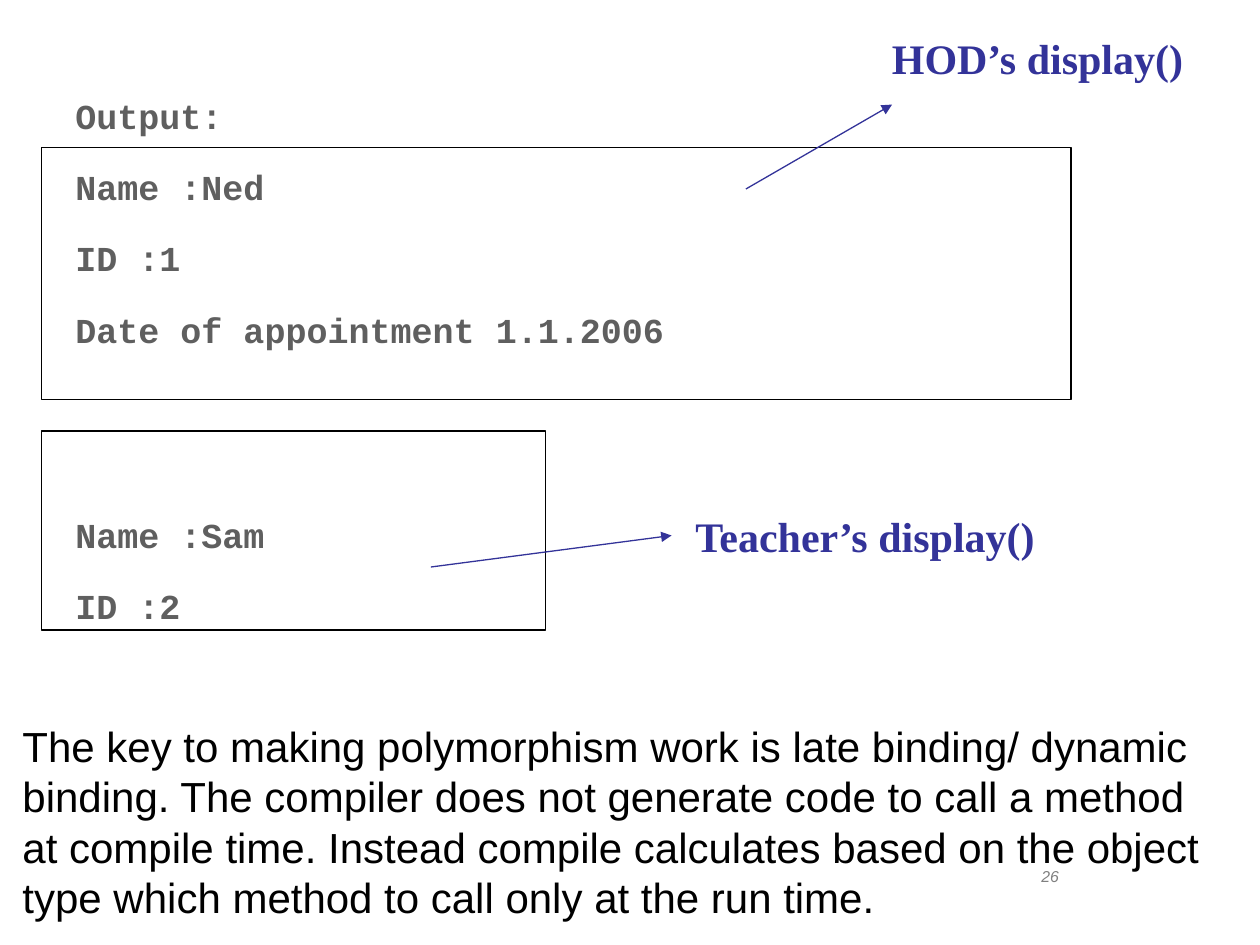
"""Build a slide on polymorphism output and late binding."""
from dataclasses import dataclass

from lxml import etree
from pptx import Presentation
from pptx import util as u
from pptx.dml.color import RGBColor
from pptx.enum import shapes, text
from pptx.oxml import ns


@dataclass(frozen=True)
class Theme:
    """Colours, line width and text formats of the slide."""
    black: RGBColor = RGBColor(0x00, 0x00, 0x00)
    blue: RGBColor = RGBColor(0x33, 0x33, 0x99)
    gray: RGBColor = RGBColor(0x5F, 0x5F, 0x5F)
    light_gray: RGBColor = RGBColor(0x80, 0x80, 0x80)
    line_width: u.Pt = u.Pt(0.75)

    def formats(self):
        """Return the font formats by role."""
        return {
            "code": dict(name="Courier New", size=u.Pt(20), bold=True, color=self.gray),
            "label": dict(name="Times New Roman", size=u.Pt(24), bold=True, color=self.blue),
            "body": dict(name="Arial", size=u.Pt(24), color=self.black),
            "number": dict(name="Arial", size=u.Pt(9), italic=True, color=self.light_gray),
        }


THEME = Theme()
LINE_GAP = 7
GROUP_GAP = 84
OUTPUT = [
    ("Output:", 0),
    ("Name :Ned", LINE_GAP),
    ("ID :1", LINE_GAP),
    ("Date of appointment 1.1.2006", LINE_GAP),
    ("Name :Sam", GROUP_GAP),
    ("ID :2", LINE_GAP),
]
SUMMARY = (
    "The key to making polymorphism work is late binding/ dynamic binding. "
    "The compiler does not generate code to call a method at compile time. "
    "Instead compile calculates based on the object type which method to call "
    "only at the run time."
)


def inches(values):
    """Convert numbers to inch lengths."""
    return [u.Inches(value) for value in values]


def style_font(font, role):
    """Apply the theme format of a role to a font."""
    for key, value in THEME.formats()[role].items():
        if key == "color":
            font.color.rgb = value
        else:
            setattr(font, key, value)


def add_text(slide, box, content, role, wrap=True, align=text.PP_ALIGN.LEFT):
    """Add a text box with one paragraph."""
    frame = slide.shapes.add_textbox(*inches(box)).text_frame
    frame.word_wrap = wrap
    paragraph = frame.paragraphs[0]
    paragraph.text = content
    paragraph.alignment = align
    style_font(paragraph.font, role)


def add_output(slide, box):
    """Add the program output as spaced lines."""
    frame = slide.shapes.add_textbox(*inches(box)).text_frame
    frame.word_wrap = True
    frame.margin_top = u.Inches(0.12)
    for index, (content, gap) in enumerate(OUTPUT):
        paragraph = frame.add_paragraph() if index else frame.paragraphs[0]
        paragraph.text = content
        paragraph.line_spacing = 1.4
        paragraph.space_before = u.Pt(gap)
        style_font(paragraph.font, "code")


def add_arrow(slide, start, end):
    """Add a blue arrow between two points."""
    arrow = slide.shapes.add_connector(
        shapes.MSO_CONNECTOR.STRAIGHT, *inches(start + end))
    arrow.line.color.rgb = THEME.blue
    arrow.line.width = THEME.line_width
    etree.SubElement(arrow.line._get_or_add_ln(), ns.qn("a:tailEnd"), type="triangle")
    etree.SubElement(arrow._element.spPr, ns.qn("a:effectLst"))


def add_callout(slide, frame_box, start, end, label_box, label):
    """Outline one output group and point from it to its label."""
    outline = slide.shapes.add_shape(shapes.MSO_SHAPE.RECTANGLE, *inches(frame_box))
    outline.shadow.inherit = False
    outline.fill.background()
    outline.line.color.rgb = THEME.black
    outline.line.width = THEME.line_width
    add_arrow(slide, start, end)
    add_text(slide, label_box, label, "label", wrap=False)


def main():
    """Build and save the presentation."""
    presentation = Presentation()
    presentation.slide_width = u.Inches(10)
    presentation.slide_height = u.Inches(7.5)
    slide = presentation.slides.add_slide(presentation.slide_layouts[6])
    add_text(slide, (7.17, 6.83, 2.33, 0.52), "26", "number",
             align=text.PP_ALIGN.CENTER)
    add_output(slide, (0.5, 0.5, 8.67, 4.75))
    add_callout(slide, (0.33, 1.17, 8.17, 2), (5.92, 1.5), (7.08, 0.83),
                (6.98, 0.21, 2.61, 0.5), "HOD’s display()")
    add_callout(slide, (0.33, 3.42, 4, 1.58), (3.42, 4.5), (5.33, 4.25),
                (5.42, 4, 3.01, 0.5), "Teacher’s display()")
    add_text(slide, (0.08, 5.67, 9.58, 1.7), SUMMARY, "body")
    presentation.save("out.pptx")


if __name__ == "__main__":
    main()
